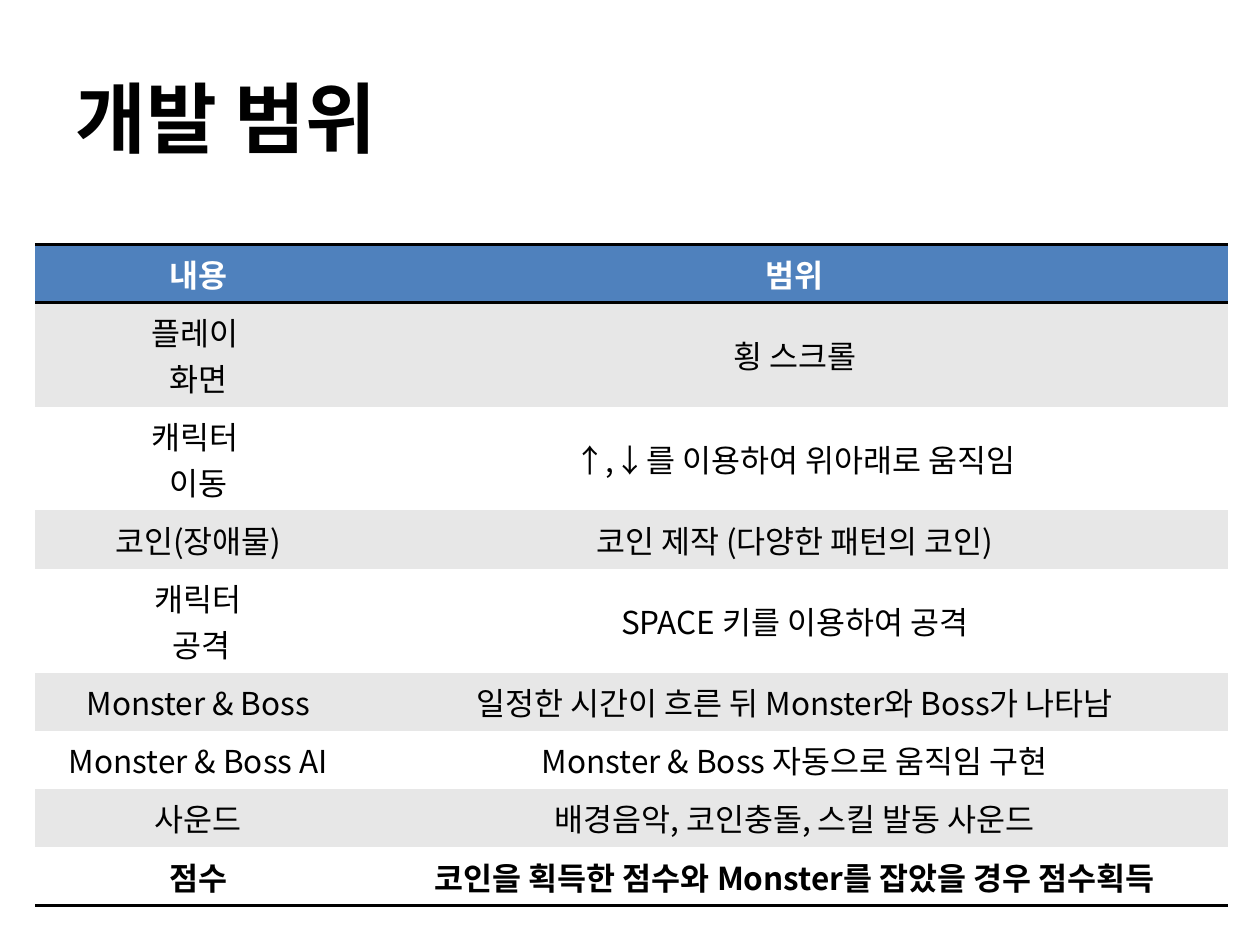
import dataclasses

import pptx
import pptx.dml.color
import pptx.enum.text
import pptx.oxml
import pptx.oxml.ns
import pptx.util

Cm = pptx.util.Cm
Pt = pptx.util.Pt
Align = pptx.enum.text.PP_ALIGN
Anchor = pptx.enum.text.MSO_ANCHOR
PLAIN_TABLE_STYLE = "{2D5ABB26-0587-4C30-8999-92F81FD0307C}"


@dataclasses.dataclass(frozen=True)
class Theme:
    """Hold the colours, type sizes and font of the slide."""
    font: str = "Noto Sans CJK KR"
    ink: str = "000000"
    paper: str = "FFFFFF"
    header: str = "4F81BD"
    band: str = "E7E7E7"
    title_size: int = 44
    table_size: int = 18
    rule_width: int = 2


THEME = Theme()
SCOPE_ROWS = [
    ("내용", "범위"),
    ("플레이 \n화면", "횡 스크롤"),
    ("캐릭터 \n이동", "↑,↓를 이용하여 위아래로 움직임"),
    ("코인(장애물)", "코인 제작 (다양한 패턴의 코인)"),
    ("캐릭터\n 공격", "SPACE 키를 이용하여 공격"),
    ("Monster & Boss", "일정한 시간이 흐른 뒤 Monster와 Boss가 나타남"),
    ("Monster & Boss AI", "Monster & Boss 자동으로 움직임 구현"),
    ("사운드", "배경음악, 코인충돌, 스킬 발동 사운드"),
    ("점수", "코인을 획득한 점수와 Monster를 잡았을 경우 점수획득"),
]


def write_text(frame, text, *, size, color=THEME.ink, bold=False, align=Align.LEFT):
    """Write one paragraph per line of text in the given format."""
    for index, line in enumerate(text.split("\n")):
        paragraph = frame.add_paragraph() if index else frame.paragraphs[0]
        paragraph.alignment = align
        run = paragraph.add_run()
        run.text = line
        run.font.size = Pt(size)
        run.font.bold = bold
        run.font.color.rgb = pptx.dml.color.RGBColor.from_string(color)
        run.font.name = THEME.font
        east_asian = pptx.oxml.parse_xml(
            f'<a:ea {pptx.oxml.ns.nsdecls("a")} typeface="{THEME.font}"/>')
        run.font._element.append(east_asian)


def add_rules(cell, sides):
    """Draw solid rules on the named sides of a cell, before its fill."""
    properties = cell._tc.get_or_add_tcPr()
    for position, side in enumerate(sides):
        properties.insert(position, pptx.oxml.parse_xml(
            f'<a:ln{side} {pptx.oxml.ns.nsdecls("a")} w="{Pt(THEME.rule_width)}">'
            f'<a:solidFill><a:srgbClr val="{THEME.ink}"/></a:solidFill></a:ln{side}>'))


def place_title(slide, text, left, top, width, height):
    """Move the title placeholder into the box and fill it."""
    title = slide.shapes.title
    title.left, title.top, title.width, title.height = left, top, width, height
    title.text_frame.vertical_anchor = Anchor.MIDDLE
    write_text(title.text_frame, text, size=THEME.title_size, bold=True)


def place_scope_table(slide, rows, left, top, width, height):
    """Add the banded table with ruled header and closing row."""
    shape = slide.shapes.add_table(len(rows), 2, left, top, width, height)
    table = shape.table
    table._tbl.tblPr.find(pptx.oxml.ns.qn("a:tableStyleId")).text = PLAIN_TABLE_STYLE
    table.columns[0].width = Cm(6.58)
    table.columns[1].width = width - Cm(6.58)
    last = len(rows) - 1
    row_heights = {0: Cm(0.4), last: Cm(1.18)}
    for row, texts in enumerate(rows):
        table.rows[row].height = row_heights.get(row, Cm(1))
        fill = THEME.header if row == 0 else THEME.band if row % 2 else THEME.paper
        for column, text in enumerate(texts):
            cell = table.cell(row, column)
            cell.vertical_anchor = Anchor.MIDDLE
            cell.fill.solid()
            cell.fill.fore_color.rgb = pptx.dml.color.RGBColor.from_string(fill)
            add_rules(cell, {0: "TB", last: "B"}.get(row, ""))
            write_text(cell.text_frame, text, size=THEME.table_size,
                       color=THEME.ink if row else THEME.paper,
                       bold=row in (0, last), align=Align.CENTER)


def build():
    """Build and save the development scope slide."""
    presentation = pptx.Presentation()
    presentation.slide_width, presentation.slide_height = Cm(25.4), Cm(19.05)
    slide = presentation.slides.add_slide(presentation.slide_layouts[5])
    place_title(slide, "개발 범위", Cm(1.27), Cm(0.76), Cm(22.86), Cm(3.18))
    place_scope_table(slide, SCOPE_ROWS, Cm(0.71), Cm(4.93), Cm(24.04), Cm(11.6))
    presentation.save("out.pptx")


build()
